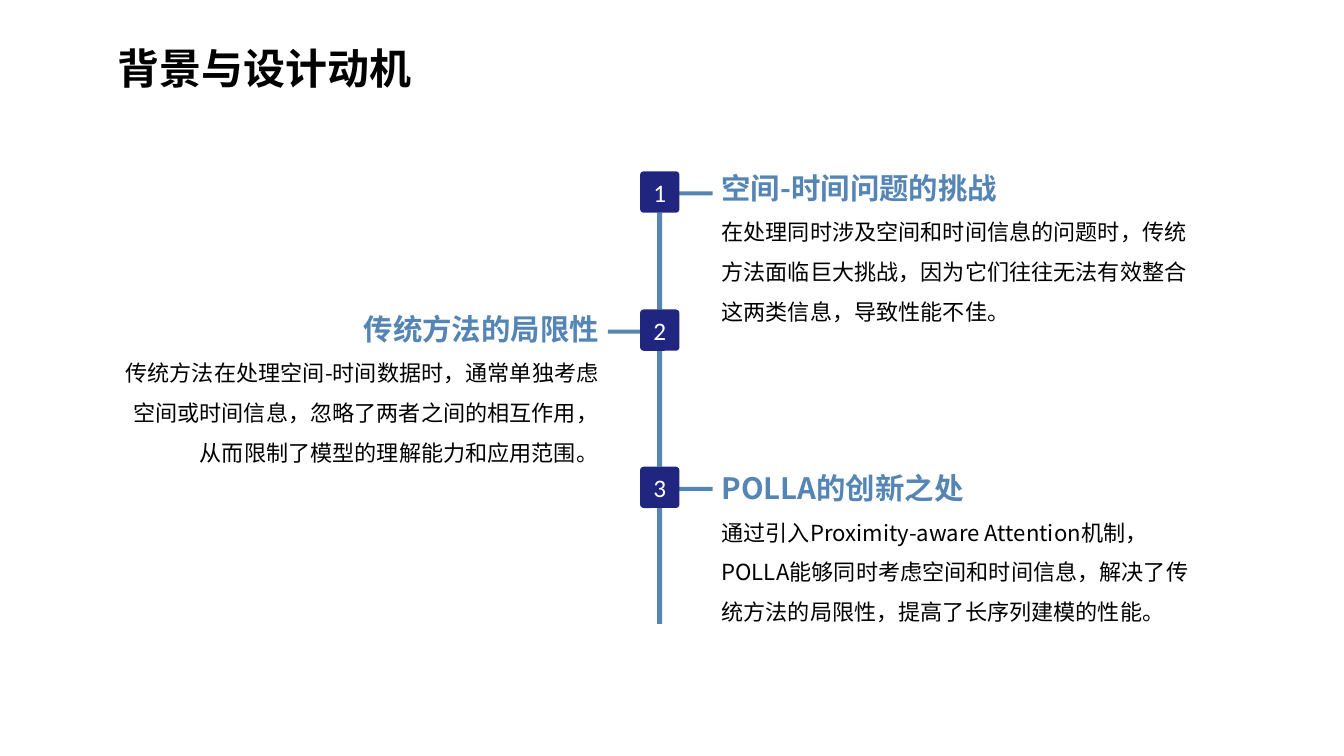
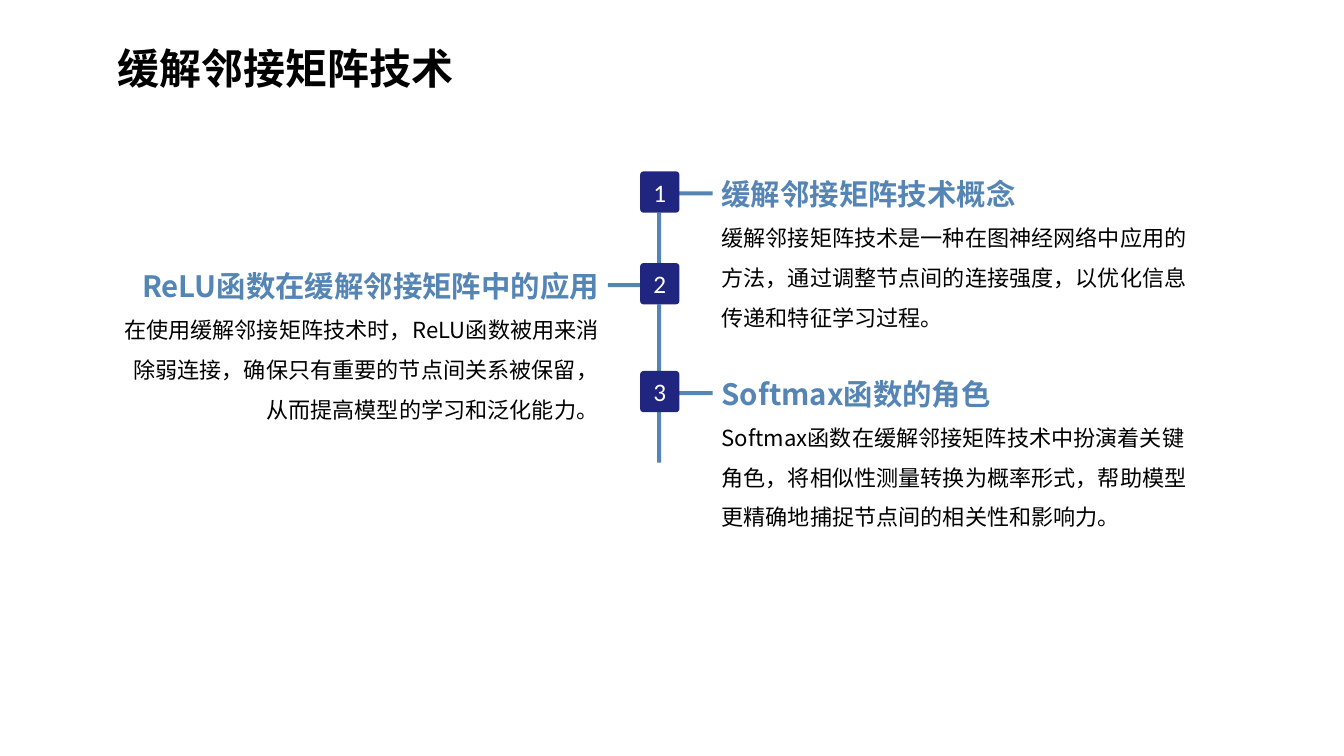
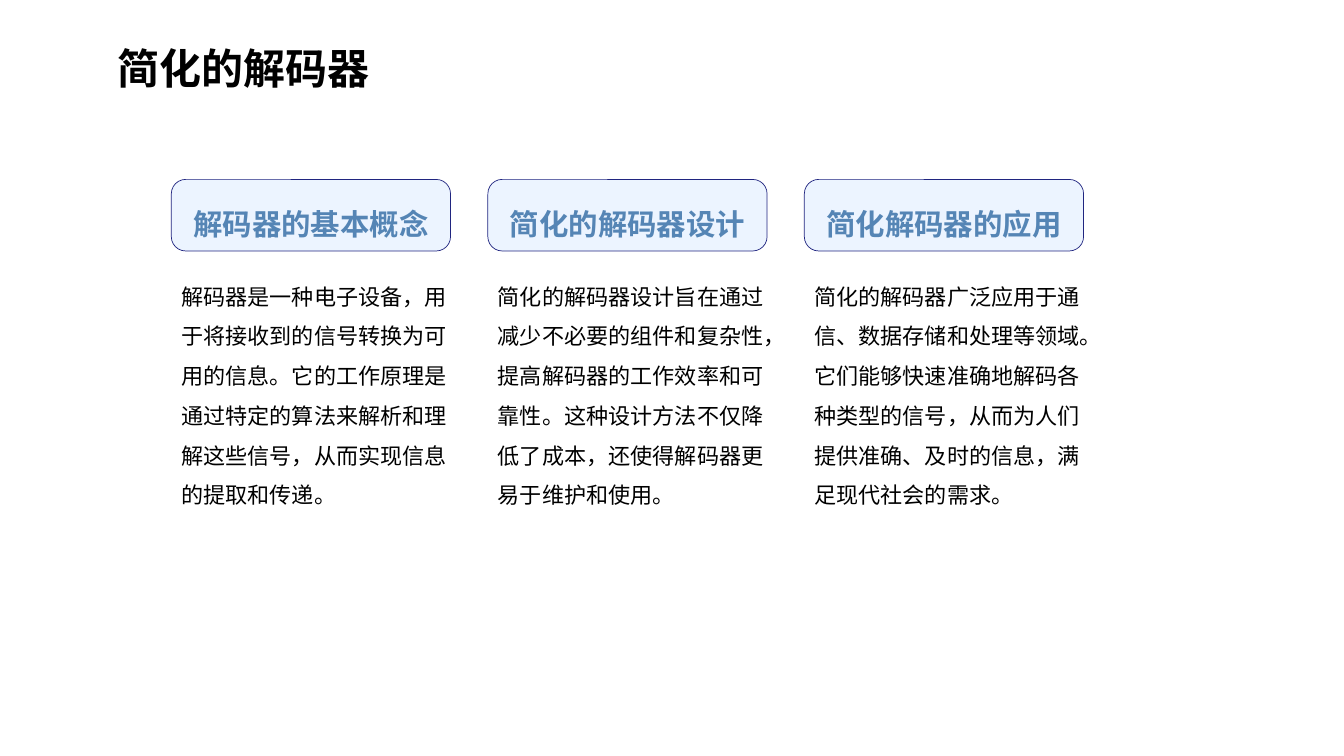
from dataclasses import dataclass

from pptx import Presentation
from pptx.dml.color import RGBColor
from pptx.enum.shapes import MSO_SHAPE
from pptx.enum.text import MSO_ANCHOR, MSO_AUTO_SIZE, PP_ALIGN
from pptx.oxml.ns import qn
from pptx.util import Inches, Pt

CELL = 0.1  # inches per grid column and row
COLS, ROWS = 133.33, 75


@dataclass(frozen=True)
class Theme:
    black: str = "000000"
    white: str = "FFFFFF"
    steel: str = "5585B5"
    navy: str = "202580"
    pale: str = "ECF4FF"
    sans: str = "Noto Sans CJK SC"
    digit: str = "Calibri"

    def font(self, role):
        size, bold, color, name = {
            "title": (30, True, self.black, self.sans),
            "head": (21, True, self.steel, self.sans),
            "body": (15.8, False, self.black, self.sans),
            "num": (18, False, self.white, self.digit),
        }[role]
        return {"size": Pt(size), "bold": bold, "name": name}, color


def grid(*cells):
    return [Inches(n * CELL) for n in cells]


def assign(item, form):
    for key, value in form.items():
        setattr(item, key, value)


class Deck:
    def __init__(self, theme):
        self.theme = theme
        self.file = Presentation()
        self.file.slide_width, self.file.slide_height = grid(COLS, ROWS)
        self.slide = None

    def page(self, title):
        self.slide = self.file.slides.add_slide(self.file.slide_layouts[6])
        self.text((10.7, 1.2, 102.5, 8.5), [("title", title, 1.5)])

    def label(self, shape, lines, align=PP_ALIGN.LEFT, grow=True):
        """Fill a shape with (role, words, line spacing) paragraphs."""
        frame = shape.text_frame
        fit = MSO_AUTO_SIZE.SHAPE_TO_FIT_TEXT if grow else MSO_AUTO_SIZE.NONE
        assign(frame, {"word_wrap": True, "auto_size": fit,
                       "vertical_anchor": MSO_ANCHOR.MIDDLE})
        for i, (role, words, space) in enumerate(lines):
            para = frame.add_paragraph() if i else frame.paragraphs[0]
            assign(para, {"alignment": align, "line_spacing": space})
            run = para.add_run()
            run.text = words
            form, color = self.theme.font(role)
            assign(run.font, form)
            run.font.color.rgb = RGBColor.from_string(color)
            east = run._r.get_or_add_rPr().makeelement(
                qn("a:ea"), {"typeface": self.theme.sans})
            run._r.rPr.append(east)

    def text(self, area, lines, align=PP_ALIGN.LEFT):
        box = self.slide.shapes.add_textbox(*grid(*area))
        self.label(box, lines, align)

    def block(self, area, fill, bend=None, edge=None):
        """Draw a filled rectangle, rounded when bend is given."""
        kind = MSO_SHAPE.RECTANGLE if bend is None else MSO_SHAPE.ROUNDED_RECTANGLE
        shape = self.slide.shapes.add_shape(kind, *grid(*area))
        shape.shadow.inherit = False
        if bend is not None:
            shape.adjustments[0] = bend
        shape.fill.solid()
        shape.fill.fore_color.rgb = RGBColor.from_string(fill)
        if edge:
            shape.line.color.rgb = RGBColor.from_string(edge)
            shape.line.width = Pt(0.5)
        else:
            shape.line.fill.background()
        return shape

    def node(self, top, num):
        shape = self.block((63.5, top, 3.9, 4.1), self.theme.navy, 0.09)
        inset = ("margin_left", "margin_right", "margin_top", "margin_bottom")
        assign(shape.text_frame, dict.fromkeys(inset, 0))
        self.label(shape, [("num", str(num), 1.0)], PP_ALIGN.CENTER, False)

    def trail(self, items, end, thick):
        """Draw numbered steps down a spine, with texts on alternate sides."""
        tops = [item[0] for item in items] + [end]
        for i, (top, lift, head, body) in enumerate(items):
            left = i % 2 == 1
            self.text((10.7 if left else 70.6, top - lift, 49.7, 16.3),
                      [("head", head, 1.0), ("body", body, 1.5)],
                      PP_ALIGN.RIGHT if left else PP_ALIGN.LEFT)
            foot = top + 4.1
            self.block((65.2, foot, thick, tops[i + 1] - foot), self.theme.steel)
            self.block((60.3 if left else 67.3, top + 2, 3.4, 0.4), self.theme.steel)
            self.node(top, i + 1)

    def cards(self, items):
        for i, (head, body) in enumerate(items):
            x = 17 + i * 31.4
            self.text((x, 26.3, 30, 24.6), [("body", body, 1.5)])
            card = self.block((x, 17.8, 27.7, 7.1), self.theme.pale, 0.2,
                              self.theme.navy)
            self.label(card, [("head", head, 1.5)], PP_ALIGN.CENTER)


# Each step: top row, rows its text is lifted, heading, body
MOTIVE = [
    (17, 0.6, "空间-时间问题的挑战",
     "在处理同时涉及空间和时间信息的问题时，传统方法面临巨大挑战，"
     "因为它们往往无法有效整合这两类信息，导致性能不佳。"),
    (30.7, 0.3, "传统方法的局限性",
     "传统方法在处理空间-时间数据时，通常单独考虑空间或时间信息，"
     "忽略了两者之间的相互作用，从而限制了模型的理解能力和应用范围。"),
    (46.3, 0.1, "POLLA的创新之处",
     "通过引入Proximity-aware Attention机制，POLLA能够同时考虑空间和时间信息，"
     "解决了传统方法的局限性，提高了长序列建模的性能。"),
]
MATRIX = [
    (17, 0, "缓解邻接矩阵技术概念",
     "缓解邻接矩阵技术是一种在图神经网络中应用的方法，"
     "通过调整节点间的连接强度，以优化信息传递和特征学习过程。"),
    (26.1, 0, "ReLU函数在缓解邻接矩阵中的应用",
     "在使用缓解邻接矩阵技术时，ReLU函数被用来消除弱连接，"
     "确保只有重要的节点间关系被保留，从而提高模型的学习和泛化能力。"),
    (36.8, 0, "Softmax函数的角色",
     "Softmax函数在缓解邻接矩阵技术中扮演着关键角色，"
     "将相似性测量转换为概率形式，帮助模型更精确地捕捉节点间的相关性和影响力。"),
]
DECODE = [
    ("解码器的基本概念",
     "解码器是一种电子设备，用于将接收到的信号转换为可用的信息。"
     "它的工作原理是通过特定的算法来解析和理解这些信号，从而实现信息的提取和传递。"),
    ("简化的解码器设计",
     "简化的解码器设计旨在通过减少不必要的组件和复杂性，提高解码器的工作效率和可靠性。"
     "这种设计方法不仅降低了成本，还使得解码器更易于维护和使用。"),
    ("简化解码器的应用",
     "简化的解码器广泛应用于通信、数据存储和处理等领域。"
     "它们能够快速准确地解码各种类型的信号，从而为人们提供准确、及时的信息，满足现代社会的需求。"),
]


def main():
    deck = Deck(Theme())
    deck.page("背景与设计动机")
    deck.trail(MOTIVE, end=61.9, thick=0.5)
    deck.page("缓解邻接矩阵技术")
    deck.trail(MATRIX, end=45.9, thick=0.4)
    deck.page("简化的解码器")
    deck.cards(DECODE)
    deck.file.save("out.pptx")


if __name__ == "__main__":
    main()
